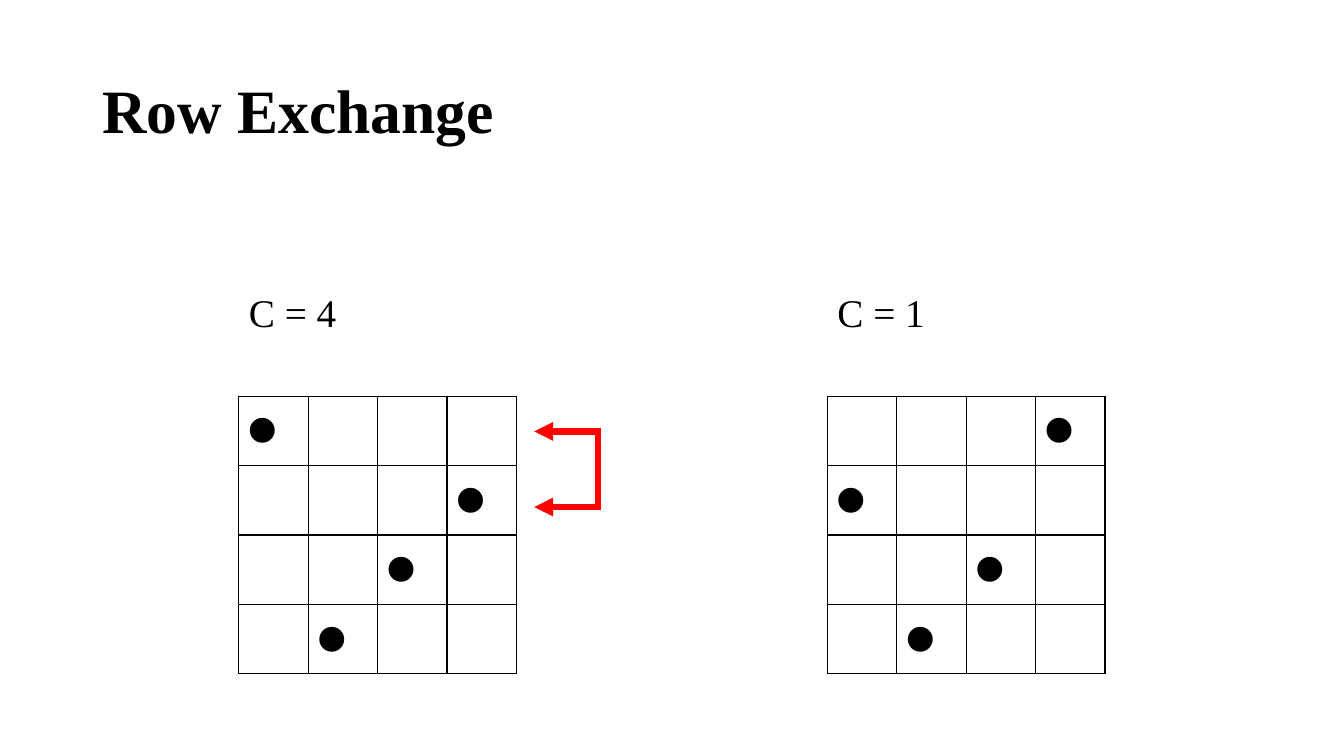
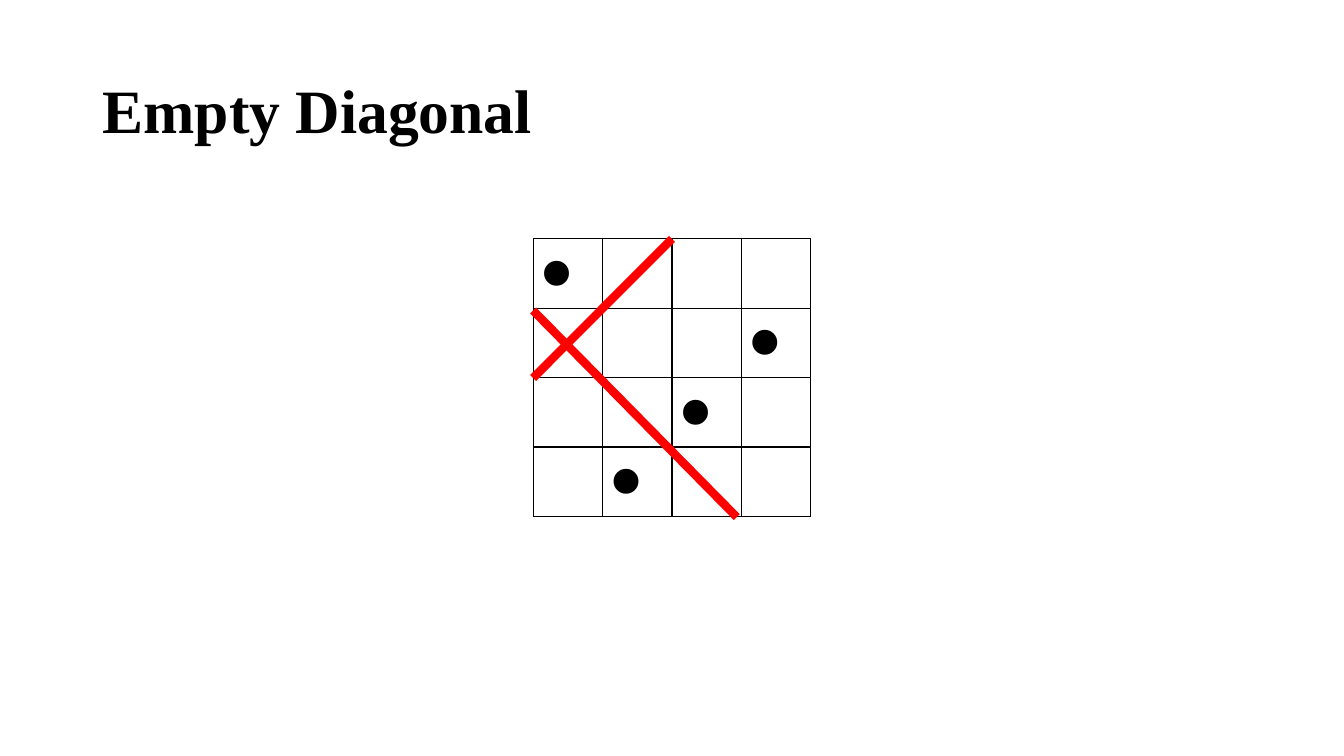
from dataclasses import dataclass
from lxml.etree import SubElement
from pptx import Presentation
from pptx.dml.color import RGBColor as Color
from pptx.enum.text import MSO_ANCHOR as Anchor, PP_ALIGN as Align
from pptx.enum.shapes import MSO_CONNECTOR as Connector
from pptx.oxml.ns import qn
from pptx.util import Pt


@dataclass(frozen=True)
class Theme:
    ink: str = "000000"
    accent: str = "FF0000"
    heading_font: str = "Times New Roman"
    queen_font: str = "Calibri"
    title_size: int = 44
    label_size: int = 28
    queen_size: int = 32


theme = Theme()
TITLE_ONLY, TWO_CONTENT = 5, 3
BOARD_SIZE = 4
CELL = 49.6
QUEEN = "⚫"


def write_text(frame, text, *, font, size, bold=False, spacing=None, anchor=None):
    """Write one left-aligned paragraph without a bullet."""
    frame.text = text
    frame.word_wrap = True
    if anchor is not None:
        frame.vertical_anchor = anchor
    paragraph = frame.paragraphs[0]
    properties = paragraph._p.get_or_add_pPr()
    properties.set("marL", "0")
    properties.set("indent", "0")
    SubElement(properties, qn("a:buNone"))
    paragraph.alignment = Align.LEFT
    paragraph.space_before = Pt(0)
    if spacing:
        paragraph.line_spacing = spacing
    run_font = paragraph.runs[0].font
    run_font.name = font
    run_font.size = Pt(size)
    run_font.bold = bold
    run_font.color.rgb = Color.from_string(theme.ink)


def add_line(slide, start, end, width, arrow=None):
    """Draw a straight accent line; arrow is headEnd, tailEnd or None."""
    line = slide.shapes.add_connector(Connector.STRAIGHT, *map(Pt, start + end))
    line.line.color.rgb = Color.from_string(theme.accent)
    line.line.width = Pt(width)
    if arrow:
        SubElement(line.line._get_or_add_ln(), qn(f"a:{arrow}"), type="triangle")
    SubElement(line._element.spPr, qn("a:effectLst"))


# Content: boards are (left, top, queen column in each row)
slides = [
    {
        "title": "Row Exchange",
        "layout": TWO_CONTENT,
        "labels": ["C = 4", "C = 1"],
        "boards": [(170.6, 283, [0, 3, 2, 1]), (591, 283, [3, 0, 2, 1])],
        "lines": [
            ((381.6, 308.2), (429.1, 308.2), 4.5, "headEnd"),
            ((427, 306), (427, 363.6), 4.5),
            ((429.1, 362.2), (381.6, 362.2), 4.5, "tailEnd"),
        ],
    },
    {
        "title": "Empty Diagonal",
        "layout": TITLE_ONLY,
        "labels": [],
        "boards": [(380.8, 170.6, [0, 3, 2, 1])],
        "lines": [
            ((380.8, 221.8), (526.3, 369.4), 6),
            ((380.8, 270), (480, 170.6), 6),
        ],
    },
]

presentation = Presentation()
presentation.slide_width, presentation.slide_height = Pt(960), Pt(540)

for content in slides:
    slide = presentation.slides.add_slide(presentation.slide_layouts[content["layout"]])

    # Title
    title = slide.shapes.title
    title.left, title.top, title.width, title.height = Pt(66), Pt(28.8), Pt(828), Pt(104.4)
    write_text(title.text_frame, content["title"], font=theme.heading_font,
               size=theme.title_size, bold=True, spacing=0.9, anchor=Anchor.MIDDLE)

    # Labels above the boards
    for number, (text, board) in enumerate(zip(content["labels"], content["boards"]), 1):
        label = slide.placeholders[number]
        label.left, label.top, label.width, label.height = Pt(board[0]), Pt(206), Pt(105), Pt(45)
        write_text(label.text_frame, text, font=theme.heading_font,
                   size=theme.label_size, spacing=0.9, anchor=Anchor.TOP)

    # Boards
    for left, top, queens in content["boards"]:
        side = Pt(CELL * BOARD_SIZE)
        table = slide.shapes.add_table(BOARD_SIZE, BOARD_SIZE, Pt(left), Pt(top), side, side).table
        table.first_row = table.horz_banding = False
        for track in [*table.columns]:
            track.width = Pt(CELL)
        for track in table.rows:
            track.height = Pt(CELL)
        for cell in table.iter_cells():
            properties = cell._tc.get_or_add_tcPr()
            for edge in ("lnL", "lnR", "lnT", "lnB"):
                border = SubElement(properties, qn(f"a:{edge}"), w=str(Pt(1)))
                fill = SubElement(border, qn("a:solidFill"))
                SubElement(fill, qn("a:srgbClr"), val=theme.ink)
            cell.fill.background()
        for row, column in enumerate(queens):
            write_text(table.cell(row, column).text_frame, QUEEN,
                       font=theme.queen_font, size=theme.queen_size)

    # Exchange arrows and diagonals
    for line in content["lines"]:
        add_line(slide, *line)

presentation.save("out.pptx")
